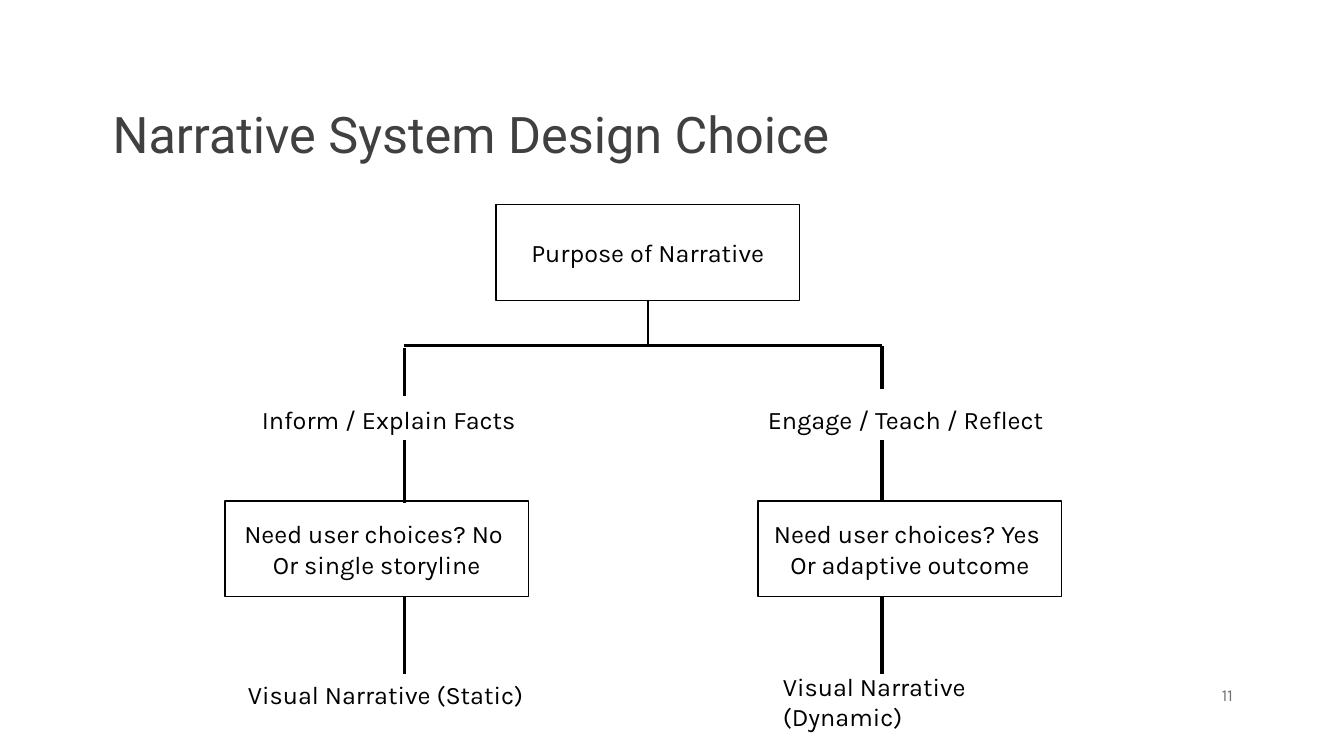
from lxml import etree
from pptx import Presentation
from pptx.dml.color import RGBColor
from pptx.enum.shapes import MSO_CONNECTOR, MSO_SHAPE
from pptx.enum.text import MSO_ANCHOR, MSO_AUTO_SIZE, PP_ALIGN
from pptx.oxml.ns import qn
from pptx.util import Pt

RECTANGLE = MSO_SHAPE.RECTANGLE
STRAIGHT = MSO_CONNECTOR.STRAIGHT
TOP, MIDDLE = MSO_ANCHOR.TOP, MSO_ANCHOR.MIDDLE
LEFT, CENTER, RIGHT = PP_ALIGN.LEFT, PP_ALIGN.CENTER, PP_ALIGN.RIGHT
GROW, FIXED = MSO_AUTO_SIZE.SHAPE_TO_FIT_TEXT, MSO_AUTO_SIZE.NONE

BLACK = RGBColor(0, 0, 0)
WHITE = RGBColor(255, 255, 255)
TITLE_GRAY = RGBColor(0x40, 0x40, 0x40)
NUMBER_GRAY = RGBColor(0x76, 0x71, 0x71)

# Content: text, left, top
TITLE = "Narrative System Design Choice"
PAGE_NUMBER = "11"
PURPOSE = (["Purpose of Narrative"], 354.3, 146.2)
DECISIONS = [
    (["Need user choices? No ", "Or single storyline"], 160.6, 357.8),
    (["Need user choices? Yes ", "Or adaptive outcome"], 541.6, 357.8),
]
LABELS = [
    ("Inform / Explain Facts", 180, 285.1),
    ("Engage / Teach / Reflect", 541.4, 285.1),
    ("Visual Narrative (Static)", 170, 481.7),
    ("Visual Narrative (Dynamic)", 552.2, 475.9),
]

# Layout
NODE_W, NODE_H, LABEL_H = 216.9, 68.4, 28.8
FORK_Y = 247
# Branch x: vertical segments as (start y, end y)
BRANCHES = {
    288.7: [(248.4, 283), (314, 359.3), (426.2, 481.7)],
    630: [(FORK_Y, 278), (314, 357.8), (426.2, 481.7)],
}
KARLA_18 = {"name": "Karla", "size": Pt(18)}
KARLA_12 = {"name": "Karla", "size": Pt(12)}
ROBOTO_36 = {"name": "Roboto", "size": Pt(36)}

presentation = Presentation()
presentation.slide_width, presentation.slide_height = Pt(960), Pt(540)
slide = presentation.slides.add_slide(presentation.slide_layouts[6])


def write(frame, lines, font, color=BLACK, align=LEFT, anchor=TOP, fit=FIXED, spacing=1.0):
    frame.word_wrap = True
    frame.auto_size = fit
    frame.vertical_anchor = anchor
    for i, line in enumerate(lines):
        paragraph = frame.paragraphs[0] if i == 0 else frame.add_paragraph()
        paragraph.alignment = align
        paragraph.line_spacing = spacing
        run = paragraph.add_run()
        run.text = line
        for attribute, value in font.items():
            setattr(run.font, attribute, value)
        run.font.color.rgb = color


def add_text(text, left, top, width, height, font, **layout):
    box = slide.shapes.add_textbox(Pt(left), Pt(top), Pt(width), Pt(height))
    write(box.text_frame, [text], font, **layout)


def add_node(lines, left, top):
    node = slide.shapes.add_shape(RECTANGLE, Pt(left), Pt(top), Pt(NODE_W), Pt(NODE_H))
    node.shadow.inherit = False
    node.fill.solid()
    node.fill.fore_color.rgb = WHITE
    node.line.color.rgb = BLACK
    node.line.width = Pt(1)
    write(node.text_frame, lines, KARLA_18, align=CENTER, anchor=MIDDLE)
    return node


def add_line(x1, y1, x2, y2, weight=2.25):
    line = slide.shapes.add_connector(STRAIGHT, Pt(x1), Pt(y1), Pt(x2), Pt(y2))
    line.line.color.rgb = BLACK
    line.line.width = Pt(weight)
    etree.SubElement(line.line._get_or_add_ln().getparent(), qn("a:effectLst"))
    return line


# Title and page number
add_text(TITLE, 73.4, 38.2, 813.6, 120.2, ROBOTO_36,
         color=TITLE_GRAY, anchor=MIDDLE, spacing=0.9)
add_text(PAGE_NUMBER, 671.8, 481.7, 216, LABEL_H, KARLA_12,
         color=NUMBER_GRAY, align=RIGHT, anchor=MIDDLE)

# Boxes and labels
purpose = add_node(*PURPOSE)
for decision in DECISIONS:
    add_node(*decision)
for text, left, top in LABELS:
    add_text(text, left, top, NODE_W, LABEL_H, KARLA_18, fit=GROW)

# Fork and branches
left_x, right_x = BRANCHES
add_line(left_x, FORK_Y, right_x, FORK_Y)
stem_x = PURPOSE[1] + NODE_W / 2
stem = add_line(stem_x, PURPOSE[2] + NODE_H, stem_x, FORK_Y, weight=1.5)
stem.begin_connect(purpose, 2)
for x, segments in BRANCHES.items():
    for start_y, end_y in segments:
        add_line(x, start_y, x, end_y)

presentation.save("out.pptx")
